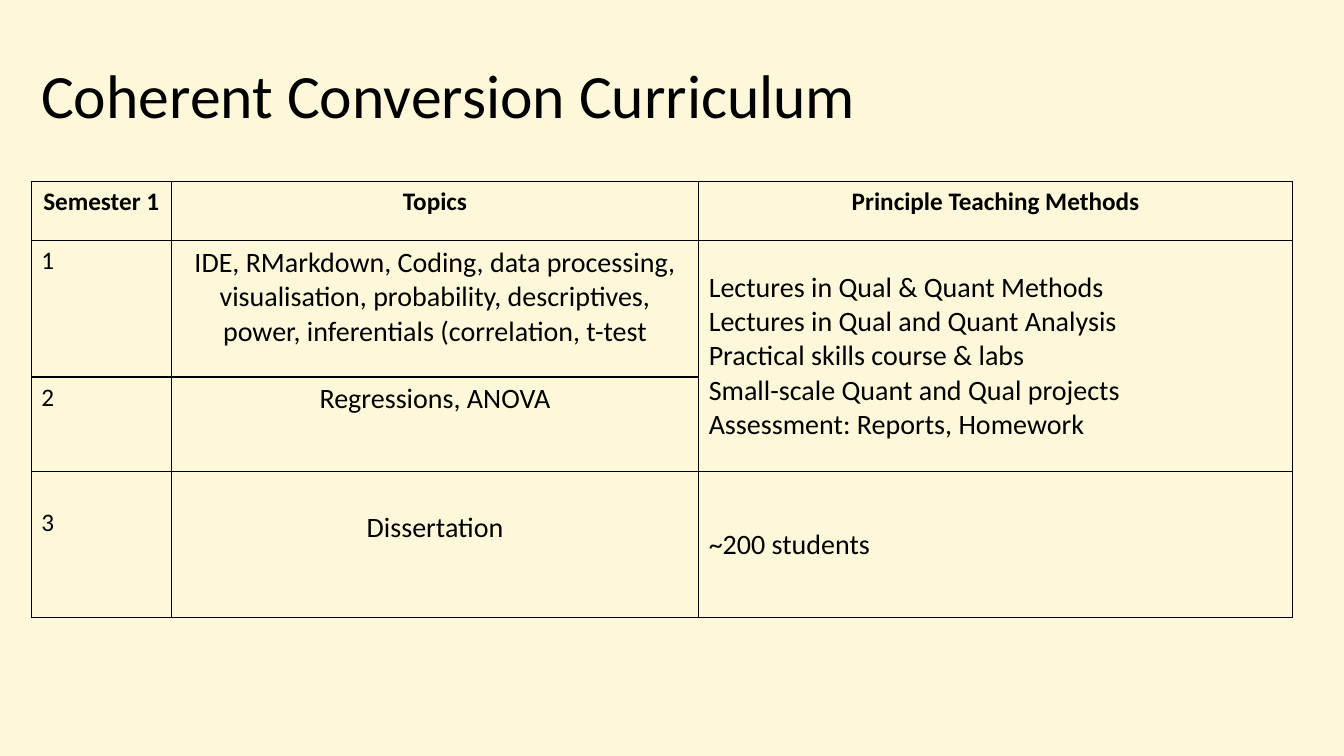
"""Build the curriculum slide with its semester table."""
from dataclasses import dataclass

from lxml.etree import SubElement
from pptx import Presentation
from pptx.dml.color import RGBColor
from pptx.enum.text import MSO_ANCHOR, PP_ALIGN
from pptx.oxml.ns import qn
from pptx.slide import Slide
from pptx.table import Table, _Cell
from pptx.text.text import _Paragraph
from pptx.util import Inches, Pt

COLORS = {"background": "FEF8DA", "ink": "000000"}
FONT = "Calibri"
COLUMN_WIDTHS = (1.39, 5.23, 5.89)
ROW_HEIGHTS = (0.59, 1.35, 0.94, 1.45)


@dataclass
class CellSpec:
    row: int
    col: int
    lines: tuple[str, ...]
    size: int = 20
    bold: bool = False
    align: PP_ALIGN = PP_ALIGN.CENTER
    anchor: MSO_ANCHOR = MSO_ANCHOR.TOP
    top: float = 0.05


def header(col: int, text: str) -> CellSpec:
    return CellSpec(0, col, (text,), size=18, bold=True)


def semester(row: int, top: float = 0.05) -> CellSpec:
    return CellSpec(row, 0, (str(row),), size=18, align=PP_ALIGN.LEFT, top=top)


def topics(row: int, text: str, top: float = 0.05) -> CellSpec:
    return CellSpec(row, 1, (text,), top=top)


def methods(row: int, *lines: str) -> CellSpec:
    return CellSpec(row, 2, lines, align=PP_ALIGN.LEFT, anchor=MSO_ANCHOR.MIDDLE)


CELLS = (
    header(0, "Semester 1"),
    header(1, "Topics"),
    header(2, "Principle Teaching Methods"),
    semester(1),
    topics(1, "IDE, RMarkdown, Coding, data processing, visualisation, probability, "
              "descriptives, power, inferentials (correlation, t-test"),
    methods(1, "Lectures in Qual & Quant Methods",
            "Lectures in Qual and Quant Analysis",
            "Practical skills course & labs",
            "Small-scale Quant and Qual projects",
            "Assessment: Reports, Homework"),
    semester(2),
    topics(2, "Regressions, ANOVA"),
    semester(3, top=0.36),
    topics(3, "Dissertation", top=0.39),
    methods(3, "~200 students"),
)


def style_font(p: _Paragraph, size: int, bold: bool = False) -> None:
    p.font.name = FONT
    p.font.size = Pt(size)
    p.font.bold = bold
    p.font.color.rgb = RGBColor.from_string(COLORS["ink"])


def add_borders(cell: _Cell) -> None:
    tc_pr = cell._tc.get_or_add_tcPr()
    for side in ("a:lnL", "a:lnR", "a:lnT", "a:lnB"):
        ln = SubElement(tc_pr, qn(side), w=str(Pt(1)))
        fill = SubElement(ln, qn("a:solidFill"))
        SubElement(fill, qn("a:srgbClr"), val=COLORS["ink"])


def fill_cell(table: Table, spec: CellSpec) -> None:
    cell = table.cell(spec.row, spec.col)
    cell.vertical_anchor = spec.anchor
    cell.margin_top = Inches(spec.top)
    tf = cell.text_frame
    tf.text = "\n".join(spec.lines)
    for p in tf.paragraphs:
        p.alignment = spec.align
        style_font(p, spec.size, spec.bold)


def add_title(slide: Slide, text: str) -> None:
    sp = slide.shapes.add_textbox(Inches(0.31), Inches(0.6), Inches(11.5), Inches(1.2))
    tf = sp.text_frame
    tf.word_wrap = True
    p = tf.paragraphs[0]
    p.text = text
    p.line_spacing = 0.9
    style_font(p, 44)


def add_curriculum(slide: Slide) -> None:
    frame = slide.shapes.add_table(
        len(ROW_HEIGHTS), len(COLUMN_WIDTHS), Inches(0.31), Inches(1.8),
        Inches(sum(COLUMN_WIDTHS)), Inches(sum(ROW_HEIGHTS)))
    table = frame.table
    table.first_row = table.horz_banding = False
    for column, width in zip(table.columns, COLUMN_WIDTHS):
        column.width = Inches(width)
    for row, height in zip(table.rows, ROW_HEIGHTS):
        row.height = Inches(height)
    for cell in table.iter_cells():
        add_borders(cell)
        cell.fill.background()
    table.cell(1, 2).merge(table.cell(2, 2))
    for spec in CELLS:
        fill_cell(table, spec)


def main() -> None:
    prs = Presentation()
    prs.slide_width, prs.slide_height = Inches(13.33), Inches(7.5)
    s = prs.slides.add_slide(prs.slide_layouts[6])
    s.background.fill.solid()
    s.background.fill.fore_color.rgb = RGBColor.from_string(COLORS["background"])
    add_curriculum(s)
    add_title(s, "Coherent Conversion Curriculum")
    prs.save("out.pptx")


if __name__ == "__main__":
    main()
